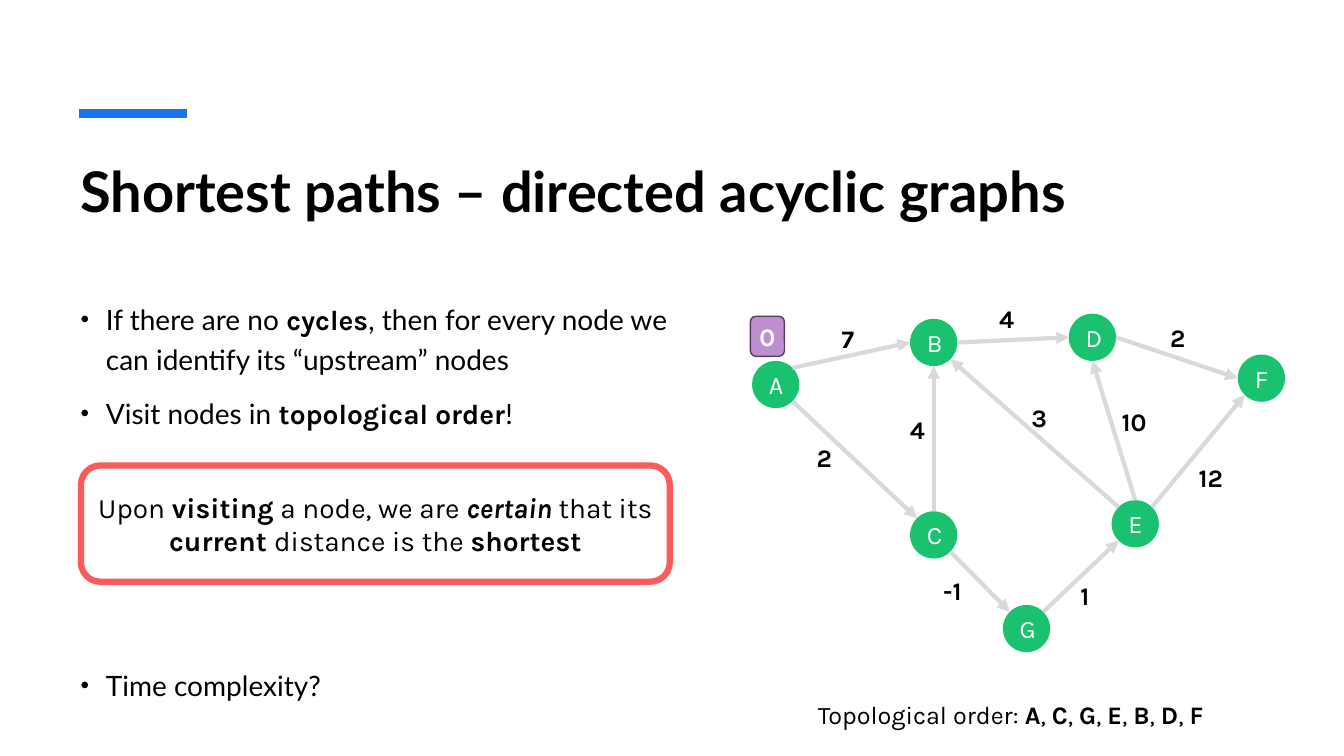
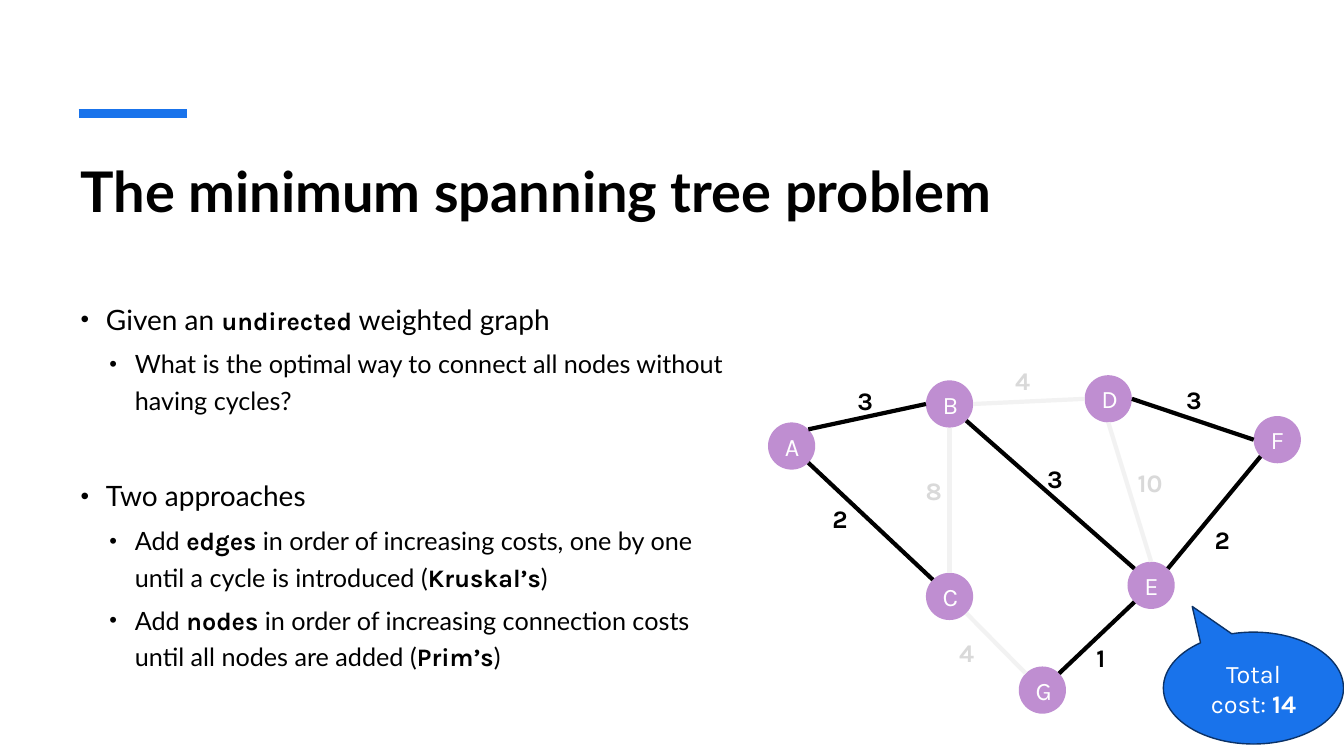
from dataclasses import dataclass
from functools import partial
from math import cos, radians, sin
from typing import NamedTuple, Optional, Sequence

from lxml.etree import SubElement
from pptx import Presentation
from pptx.dml.color import RGBColor
from pptx.enum.shapes import MSO_CONNECTOR as Link, MSO_SHAPE as Kind
from pptx.enum.text import MSO_ANCHOR as Anchor, PP_ALIGN as Align
from pptx.oxml.ns import qn
from pptx.util import Cm, Pt

BLACK, WHITE, BLUE, NAVY = "000000", "FFFFFF", "1973EB", "0B3267"
GREEN, LILAC, PLUM, RED = "1AC16E", "BF8ED1", "543E5C", "FE5A5A"
GREY, FAINT = "D9D9D9", "F2F2F2"
NODE = 1.19
ANGLES = {"E": 0, "SE": 45, "S": 90, "SW": 135,
          "W": 180, "NW": 225, "N": 270, "NE": 315}


class Spot(NamedTuple):
    x: float
    y: float


class Box(NamedTuple):
    x: float
    y: float
    w: float
    h: float


@dataclass(frozen=True)
class Run:
    text: str
    size: float = 18
    font: str = "Karla"
    color: str = BLACK
    bold: bool = False
    ital: bool = False


@dataclass(frozen=True)
class Item:
    runs: Sequence[Run]
    level: int = 0
    gap: Optional[float] = None


@dataclass(frozen=True)
class Edge:
    start: str
    leave: str
    end: str
    enter: str
    label: Spot


@dataclass(frozen=True)
class Mark:
    cost: str
    line: str
    ink: str = BLACK


lato = partial(Run, font="Lato")
lato20 = partial(lato, size=20)
strong = partial(Run, bold=True)
strong20 = partial(strong, size=20)
solid = partial(Mark, line=BLACK)
faint = partial(Mark, line=FAINT, ink=GREY)
arrow = partial(Mark, line=GREY)

NODES = {
    "A": Spot(19.55, 9.69), "B": Spot(23.53, 8.63), "C": Spot(23.53, 13.48),
    "D": Spot(27.53, 8.5), "E": Spot(28.61, 13.2), "F": Spot(31.79, 9.53),
    "G": Spot(25.87, 15.84),
}
EDGES = [
    Edge("A", "SE", "C", "NW", Spot(20.33, 11.02)),
    Edge("A", "NE", "B", "W", Spot(20.96, 8.03)),
    Edge("B", "E", "D", "W", Spot(24.93, 7.52)),
    Edge("C", "N", "B", "S", Spot(22.68, 10.31)),
    Edge("E", "NW", "B", "SE", Spot(25.74, 10.01)),
    Edge("D", "E", "F", "W", Spot(29.24, 8)),
    Edge("E", "NE", "F", "SW", Spot(29.96, 11.53)),
    Edge("E", "N", "D", "S", Spot(28.02, 10.11)),
    Edge("C", "SE", "G", "NW", Spot(23.52, 14.38)),
    Edge("G", "NE", "E", "SW", Spot(26.98, 14.51)),
]


def rgb(code: str) -> RGBColor:
    return RGBColor.from_string(code)


def write(para, runs: Sequence[Run]) -> None:
    for part in runs:
        run = para.add_run()
        run.text = part.text
        font = run.font
        font.size, font.name = Pt(part.size), part.font
        font.bold, font.italic = part.bold, part.ital
        font.color.rgb = rgb(part.color)


def add_text(slide, box: Box, runs: Sequence[Run] = (), wrap: bool = True):
    frame = slide.shapes.add_textbox(*map(Cm, box)).text_frame
    frame.word_wrap = wrap
    write(frame.paragraphs[0], runs)
    return frame


def add_shape(slide, kind, box: Box, runs: Sequence[Run],
              fill: Optional[str] = None, line: Optional[str] = None,
              width: float = 1, tight: bool = False):
    """Draw a shape with centred text; tight drops its inner margins."""
    shape = slide.shapes.add_shape(kind, *map(Cm, box))
    shape.shadow.inherit = False
    if fill:
        shape.fill.solid()
        shape.fill.fore_color.rgb = rgb(fill)
    else:
        shape.fill.background()
    if line:
        shape.line.color.rgb = rgb(line)
        shape.line.width = Pt(width)
    else:
        shape.line.fill.background()
    frame = shape.text_frame
    frame.word_wrap = True
    frame.vertical_anchor = Anchor.MIDDLE
    if tight:
        frame.margin_left = frame.margin_right = 0
        frame.margin_top = frame.margin_bottom = 0
    para = frame.paragraphs[0]
    para.alignment = Align.CENTER
    write(para, runs)
    return shape


def add_line(slide, start: Spot, end: Spot, color: str, width: float,
             head: bool = False) -> None:
    line = slide.shapes.add_connector(Link.STRAIGHT, *map(Cm, (*start, *end)))
    line.line.color.rgb = rgb(color)
    line.line.width = Pt(width)
    if head:
        SubElement(line.line._get_or_add_ln(), qn("a:tailEnd"), type="triangle")
    SubElement(line._element.spPr, qn("a:effectLst"))


def add_list(slide, width: float, items: Sequence[Item]) -> None:
    frame = add_text(slide, Box(1.78, 7.32, width, 11))
    for i, item in enumerate(items):
        para = frame.add_paragraph() if i else frame.paragraphs[0]
        para.level = item.level
        para.line_spacing = 1.2
        space = (10, 5)[item.level] if item.gap is None else item.gap
        para.space_before = Pt(space)
        props = para._p.get_or_add_pPr()
        props.set("marL", str(Cm((0.64, 1.37)[item.level])))
        props.set("indent", str(Cm(-0.64)))
        SubElement(props, qn("a:buSzPct"), val="87000")
        SubElement(props, qn("a:buFont"), typeface="Arial")
        SubElement(props, qn("a:buChar"), char="•")
        write(para, item.runs)


def add_graph(slide, fill: str, marks: Sequence[Mark],
              shift: Spot = Spot(0, 0), head: bool = False) -> None:
    """Draw the nodes, then every edge with its cost."""
    def move(spot: Spot) -> Spot:
        return Spot(spot.x + shift.x, spot.y + shift.y)

    def rim(name: str, side: str) -> Spot:
        mid, turn = move(NODES[name]), radians(ANGLES[side])
        return Spot(mid.x + NODE / 2 * cos(turn), mid.y + NODE / 2 * sin(turn))

    for name, spot in NODES.items():
        mid = move(spot)
        box = Box(mid.x - NODE / 2, mid.y - NODE / 2, NODE, NODE)
        add_shape(slide, Kind.OVAL, box, [Run(name, color=WHITE)], fill)
    for edge, mark in zip(EDGES, marks):
        add_line(slide, rim(edge.start, edge.leave), rim(edge.end, edge.enter),
                 mark.line, 3, head)
    for edge, mark in zip(EDGES, marks):
        width = 0.53 + 0.33 * len(mark.cost)
        add_text(slide, Box(*move(edge.label), width, 1.02),
                 [strong(mark.cost, color=mark.ink)], wrap=False)


def add_slide(deck, title: str):
    slide = deck.slides.add_slide(deck.slide_layouts[6])
    add_line(slide, Spot(1.98, 2.86), Spot(4.7, 2.86), BLUE, 6)
    add_text(slide, Box(1.78, 3.81, 30.25, 3.05),
             [lato(title, size=40, bold=True)])
    return slide


def add_paths(deck) -> None:
    slide = add_slide(deck, "Shortest paths – directed acyclic graphs")
    add_list(slide, 15.65, [
        Item([lato20("If there are no "), strong20("cycles"),
              lato20(", then for every node we can identify its "
                     "“upstream” nodes")]),
        Item([lato20("Visit nodes in "), strong20("topological order"),
              lato20("!")]),
        Item([lato20("Time complexity?")], gap=165),
    ])
    costs = ("2", "7", "4", "4", "3", "2", "12", "10", "-1", "1")
    add_graph(slide, GREEN, [arrow(cost) for cost in costs], head=True)
    order = [Run("Topological order: ")]
    for i, name in enumerate("ACGEBDF"):
        if i:
            order.append(Run(", "))
        order.append(strong(name))
    add_text(slide, Box(20.36, 17.5, 10.34, 1.02), order, wrap=False)
    add_shape(slide, Kind.ROUNDED_RECTANGLE, Box(18.91, 7.97, 0.86, 1.01),
              [strong("0", color=WHITE)], LILAC, PLUM, tight=True)
    add_shape(slide, Kind.ROUNDED_RECTANGLE, Box(2.04, 11.73, 14.84, 2.93), [
        Run("Upon ", 20), strong20("visiting"), Run(" a node, we are ", 20),
        strong20("certain ", ital=True), Run("that its ", 20),
        strong20("current "), Run("distance is the ", 20),
        strong20("shortest"),
    ], line=RED, width=4.5)


def add_tree(deck) -> None:
    slide = add_slide(deck, "The minimum spanning tree problem")
    add_list(slide, 17.12, [
        Item([lato20("Given an "), strong("undirected"),
              lato20(" weighted graph")]),
        Item([lato("What is the optimal way to connect all nodes without "
                   "having cycles?")], 1),
        Item([lato20("Two approaches")], gap=40.7),
        Item([lato("Add "), strong("edges"),
              lato(" in order of increasing costs, one by one until a cycle "
                   "is introduced ("), strong("Kruskal’s"), lato(")")], 1),
        Item([lato("Add "), strong("nodes"),
              lato(" in order of increasing connection costs until all nodes "
                   "are added ("), strong("Prim’s"), lato(")")], 1),
    ])
    add_graph(slide, LILAC, [
        solid("2"), solid("3"), faint("4"), faint("8"), solid("3"),
        solid("3"), solid("2"), faint("10"), faint("4"), solid("1"),
    ], Spot(0.4, 1.55))
    call = add_shape(slide, Kind.OVAL_CALLOUT, Box(29.32, 15.93, 4.54, 2.82),
                     [Run("Total cost: ", color=WHITE),
                      strong("14", color=WHITE)], BLUE, NAVY)
    call.adjustments[0], call.adjustments[1] = -0.34, -0.73


def main() -> None:
    deck = Presentation()
    deck.slide_width, deck.slide_height = Cm(33.87), Cm(19.05)
    add_paths(deck)
    add_tree(deck)
    deck.save("out.pptx")


if __name__ == "__main__":
    main()
